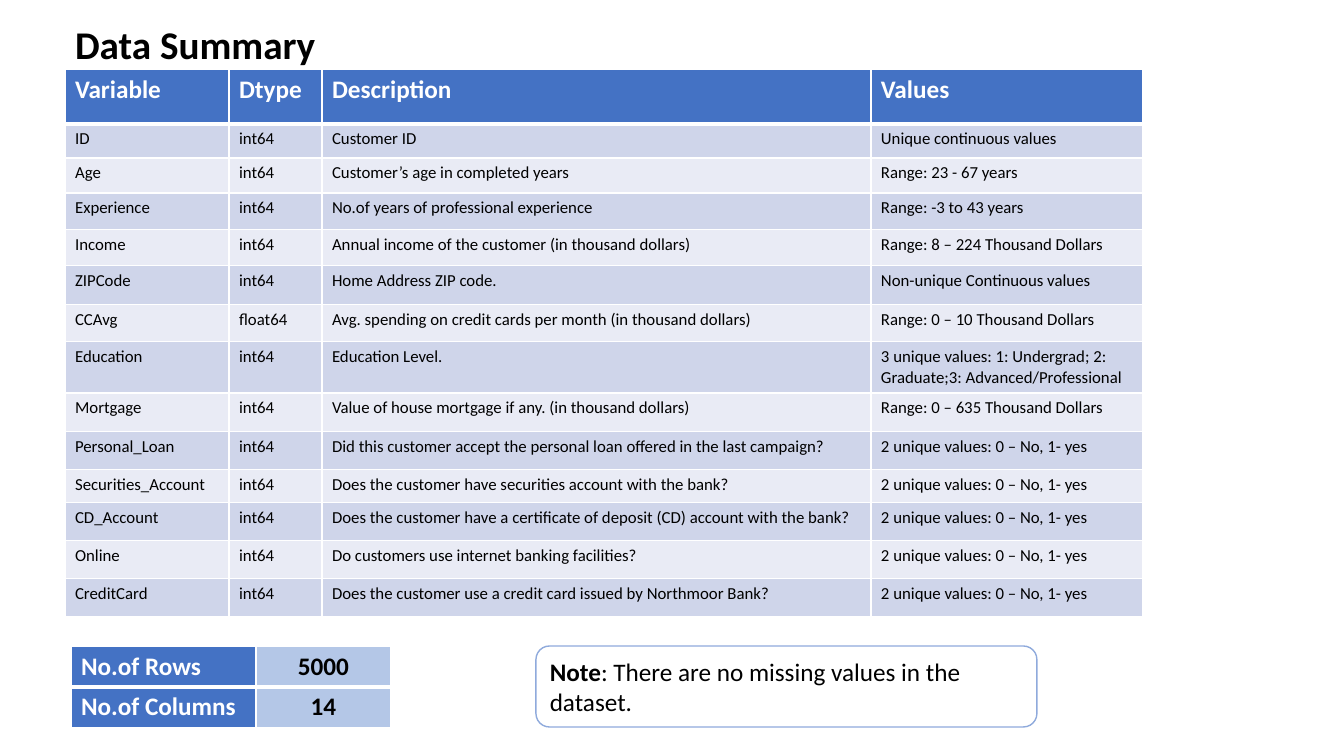
from lxml import etree
from pptx import Presentation
from pptx.dml.color import RGBColor
from pptx.enum.shapes import MSO_SHAPE
from pptx.enum.text import MSO_ANCHOR, MSO_AUTO_SIZE, PP_ALIGN
from pptx.oxml.ns import qn
from pptx.util import Pt

# Content
TITLE = "Data Summary"
YES_NO = "2 unique values: 0 – No, 1- yes"
VARIABLES = [
    ("Variable", "Dtype", "Description", "Values"),
    ("ID", "int64", "Customer ID", "Unique continuous values"),
    ("Age", "int64", "Customer’s age in completed years", "Range: 23 - 67 years"),
    ("Experience", "int64", "No.of years of professional experience", "Range: -3 to 43 years"),
    ("Income", "int64", "Annual income of the customer (in thousand dollars)",
     "Range: 8 – 224 Thousand Dollars"),
    ("ZIPCode", "int64", "Home Address ZIP code.", "Non-unique Continuous values"),
    ("CCAvg", "float64", "Avg. spending on credit cards per month (in thousand dollars)",
     "Range: 0 – 10 Thousand Dollars"),
    ("Education", "int64", "Education Level.",
     "3 unique values: 1: Undergrad; 2: Graduate;3: Advanced/Professional"),
    ("Mortgage", "int64", "Value of house mortgage if any. (in thousand dollars)",
     "Range: 0 – 635 Thousand Dollars"),
    ("Personal_Loan", "int64",
     "Did this customer accept the personal loan offered in the last campaign?", YES_NO),
    ("Securities_Account", "int64",
     "Does the customer have securities account with the bank?", YES_NO),
    ("CD_Account", "int64",
     "Does the customer have a certificate of deposit (CD) account with the bank?", YES_NO),
    ("Online", "int64", "Do customers use internet banking facilities?", YES_NO),
    ("CreditCard", "int64",
     "Does the customer use a credit card issued by Northmoor Bank?", YES_NO),
]
SIZES = [("No.of Rows", "5000"), ("No.of Columns", "14")]
NOTE = [("Note", True), (": There are no missing values in the dataset.", False)]

# Layout in px
SLIDE = (1344, 756)
SCALE = 12192000 / SLIDE[0]
TITLE_BOX = (65, 8, 1159, 77)
NOTE_BOX = (536, 646, 501, 81)
VARIABLE_COLUMNS = [164, 93, 549, 272]
VARIABLE_ROWS = [55, 34, 35, 37, 36, 39, 37, 42, 39, 38, 33, 38, 38, 38]
SIZE_COLUMNS = [185, 135]
SIZE_ROWS = [40, 40]

# Formats
COLORS = {"white": "FFFFFF", "black": "000000", "header": "4472C4", "dark_band": "CFD5EA",
          "light_band": "E9EBF5", "size_value": "B4C7E7", "note_line": "8FAADC"}
TITLE_FONT = {"size": Pt(28), "bold": True}
HEADER_FONT = {"size": Pt(18), "bold": True}
BODY_FONT = {"size": Pt(12), "bold": False}


def px(value):
    return round(value * SCALE)


def color(name):
    return RGBColor.from_string(COLORS[name])


def add_run(paragraph, text, font_format, color_name):
    run = paragraph.add_run()
    run.text = text
    run.font.color.rgb = color(color_name)
    for name, value in {"name": "Calibri", **font_format}.items():
        setattr(run.font, name, value)


def set_borders(cell, widths):
    properties = cell._tc.get_or_add_tcPr()
    for position, (side, width) in enumerate(widths.items()):
        line = etree.Element(qn(f"a:ln{side}"), w=str(Pt(width)))
        fill = etree.SubElement(line, qn("a:solidFill"))
        etree.SubElement(fill, qn("a:srgbClr"), val=COLORS["white"])
        properties.insert(position, line)


def add_table(slide, left, top, columns, rows, content, cell_format):
    """cell_format(row, column) gives fill, font, text colour and alignment."""
    table = slide.shapes.add_table(len(rows), len(columns), px(left), px(top),
                                   px(sum(columns)), px(sum(rows))).table
    for column, width in zip(table.columns, columns):
        column.width = px(width)
    for row, height in zip(table.rows, rows):
        row.height = px(height)
    for r, texts in enumerate(content):
        for c, text in enumerate(texts):
            cell = table.cell(r, c)
            fill, font, text_color, alignment = cell_format(r, c)
            cell.fill.solid()
            cell.fill.fore_color.rgb = color(fill)
            paragraph = cell.text_frame.paragraphs[0]
            paragraph.alignment = alignment
            add_run(paragraph, text, font, text_color)
            widths = {"L": 1, "R": 1}
            if r == 0:
                widths["T"] = 1
            widths["B"] = 3 if r == 0 else 1
            set_borders(cell, widths)


def variable_format(row, column):
    if row == 0:
        return "header", HEADER_FONT, "white", PP_ALIGN.LEFT
    return "dark_band" if row % 2 else "light_band", BODY_FONT, "black", PP_ALIGN.LEFT


def size_format(row, column):
    if column == 0:
        return "header", HEADER_FONT, "white", PP_ALIGN.LEFT
    return "size_value", HEADER_FONT, "black", PP_ALIGN.CENTER


def main():
    presentation = Presentation()
    presentation.slide_width, presentation.slide_height = map(px, SLIDE)
    slide = presentation.slides.add_slide(presentation.slide_layouts[5])

    # Title
    title = slide.shapes.title
    title.left, title.top, title.width, title.height = map(px, TITLE_BOX)
    title.text_frame.auto_size = MSO_AUTO_SIZE.NONE
    title.text_frame.vertical_anchor = MSO_ANCHOR.MIDDLE
    paragraph = title.text_frame.paragraphs[0]
    paragraph.alignment = PP_ALIGN.LEFT
    paragraph.line_spacing = 0.9
    add_run(paragraph, TITLE, TITLE_FONT, "black")

    # Tables
    add_table(slide, 65, 69, VARIABLE_COLUMNS, VARIABLE_ROWS, VARIABLES, variable_format)
    add_table(slide, 71, 646, SIZE_COLUMNS, SIZE_ROWS, SIZES, size_format)

    # Note
    note = slide.shapes.add_shape(MSO_SHAPE.ROUNDED_RECTANGLE, *map(px, NOTE_BOX))
    note.shadow.inherit = False
    note.fill.solid()
    note.fill.fore_color.rgb = color("white")
    note.line.color.rgb = color("note_line")
    note.line.width = Pt(1)
    note.text_frame.word_wrap = True
    note.text_frame.vertical_anchor = MSO_ANCHOR.MIDDLE
    paragraph = note.text_frame.paragraphs[0]
    paragraph.alignment = PP_ALIGN.LEFT
    for text, bold in NOTE:
        add_run(paragraph, text, {"size": Pt(18), "bold": bold}, "black")

    presentation.save("out.pptx")


if __name__ == "__main__":
    main()
